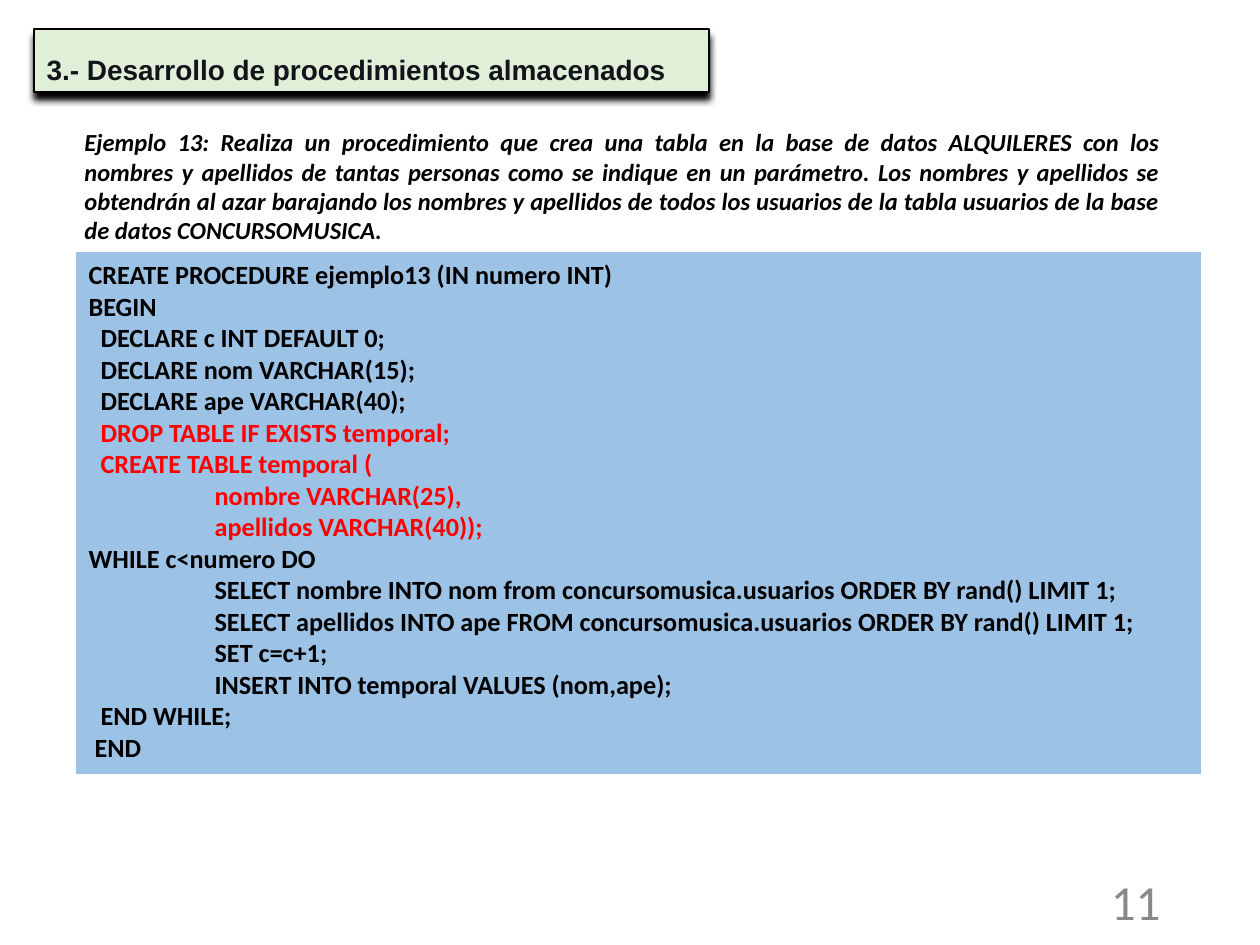
from lxml.etree import SubElement
from pptx import Presentation
from pptx.dml.color import RGBColor
from pptx.enum.text import MSO_ANCHOR as Anchor, MSO_AUTO_SIZE as AutoSize, PP_ALIGN as Align
from pptx.oxml.ns import qn
from pptx.util import Pt

EMU_PER_PX = 914400 / 126
SPACE, TAB = 12, 126
BLACK, RED = "000000", "FF0000"

EXERCISE = (
    "Ejemplo 13: Realiza un procedimiento que crea una tabla en la base de datos "
    "ALQUILERES con los nombres y apellidos de tantas personas como se indique en un "
    "parámetro. Los nombres y apellidos se obtendrán al azar barajando los nombres y "
    "apellidos de todos los usuarios de la tabla usuarios de la base de datos "
    "CONCURSOMUSICA."
)
CODE = [
    (0, BLACK, "CREATE PROCEDURE ejemplo13 (IN numero INT)"),
    (0, BLACK, "BEGIN"),
    (SPACE, BLACK, "DECLARE c INT DEFAULT 0;"),
    (SPACE, BLACK, "DECLARE nom VARCHAR(15);"),
    (SPACE, BLACK, "DECLARE ape VARCHAR(40);"),
    (SPACE, RED, "DROP TABLE IF EXISTS temporal;"),
    (SPACE, RED, "CREATE TABLE temporal ("),
    (TAB, RED, "nombre VARCHAR(25),"),
    (TAB, RED, "apellidos VARCHAR(40));"),
    (0, BLACK, "WHILE c<numero DO"),
    (TAB, BLACK, "SELECT nombre INTO nom from concursomusica.usuarios ORDER BY rand() LIMIT 1;"),
    (TAB, BLACK, "SELECT apellidos INTO ape FROM concursomusica.usuarios ORDER BY rand() LIMIT 1;"),
    (TAB, BLACK, "SET c=c+1;"),
    (TAB, BLACK, "INSERT INTO temporal VALUES (nom,ape);"),
    (SPACE, BLACK, "END WHILE;"),
    (SPACE // 2, BLACK, "END"),
]


def px(length):
    """Turn a length in px into EMU."""
    return round(length * EMU_PER_PX)


def color(hex_string):
    """Turn a hex string into a colour."""
    return RGBColor.from_string(hex_string)


def place(region, box, anchor=Anchor.TOP):
    """Move a region to its box and prepare its text frame."""
    region.left, region.top, region.width, region.height = map(px, box)
    frame = region.text_frame
    frame.word_wrap = True
    frame.auto_size = AutoSize.NONE
    frame.vertical_anchor = anchor
    return frame


def write(paragraph, text, size, font="Calibri", ink=BLACK, bold=True, italic=False,
          align=Align.LEFT, spacing=1.0, indent=0):
    """Write one formatted paragraph without a bullet."""
    paragraph.alignment = align
    paragraph.line_spacing = spacing
    paragraph.space_before = paragraph.space_after = Pt(0)
    properties = paragraph._p.get_or_add_pPr()
    properties.set("marL", str(px(indent)))
    properties.set("indent", "0")
    SubElement(properties, qn("a:buNone"))
    run = paragraph.add_run()
    run.text = text
    run.font.size = Pt(size)
    run.font.name = font
    run.font.bold = bold
    run.font.italic = italic
    run.font.color.rgb = color(ink)


def add_shadow(region, ink, blur, distance):
    """Give a region a shadow that falls straight down."""
    effects = SubElement(region._element.spPr, qn("a:effectLst"))
    shadow = SubElement(effects, qn("a:outerShdw"), blurRad=str(Pt(blur)),
                        dist=str(Pt(distance)), dir="5400000", algn="t", rotWithShape="0")
    SubElement(shadow, qn("a:srgbClr"), val=ink)


def build_heading(slide, box):
    """Build the green section heading."""
    heading = slide.shapes.title
    frame = place(heading, box)
    heading.fill.solid()
    heading.fill.fore_color.rgb = color("E1EFD8")
    heading.line.color.rgb = color(BLACK)
    heading.line.width = Pt(0.75)
    add_shadow(heading, BLACK, blur=4, distance=4)
    write(frame.paragraphs[0], "3.- Desarrollo de procedimientos almacenados", 16,
          font="Arial", ink="11151A", spacing=1.5)


def build_exercise(slide, box):
    """Build the justified exercise statement."""
    frame = place(slide.shapes.add_textbox(0, 0, 0, 0), box)
    write(frame.paragraphs[0], EXERCISE, 14, italic=True, align=Align.JUSTIFY)


def build_code(slide, box):
    """Build the blue panel with the procedure, one paragraph a line."""
    panel = slide.placeholders[1]
    frame = place(panel, box)
    panel.fill.solid()
    panel.fill.fore_color.rgb = color("9CC2E5")
    for number, (indent, ink, line) in enumerate(CODE):
        paragraph = frame.add_paragraph() if number else frame.paragraphs[0]
        write(paragraph, line, 15, ink=ink, indent=indent)


def build_page_number(slide, box):
    """Build the page number."""
    frame = place(slide.shapes.add_textbox(0, 0, 0, 0), box, Anchor.MIDDLE)
    write(frame.paragraphs[0], "11", 28, ink="898989", bold=False, align=Align.RIGHT)


def main():
    """Build the slide and save it."""
    deck = Presentation()
    deck.slide_width, deck.slide_height = px(1260), px(945)
    slide = deck.slides.add_slide(deck.slide_layouts[1])
    build_heading(slide, (34, 29, 675, 63))
    build_page_number(slide, (890, 876, 283, 50))
    build_exercise(slide, (72, 121, 1101, 131))
    build_code(slide, (76, 252, 1125, 522))
    deck.save("out.pptx")


if __name__ == "__main__":
    main()
